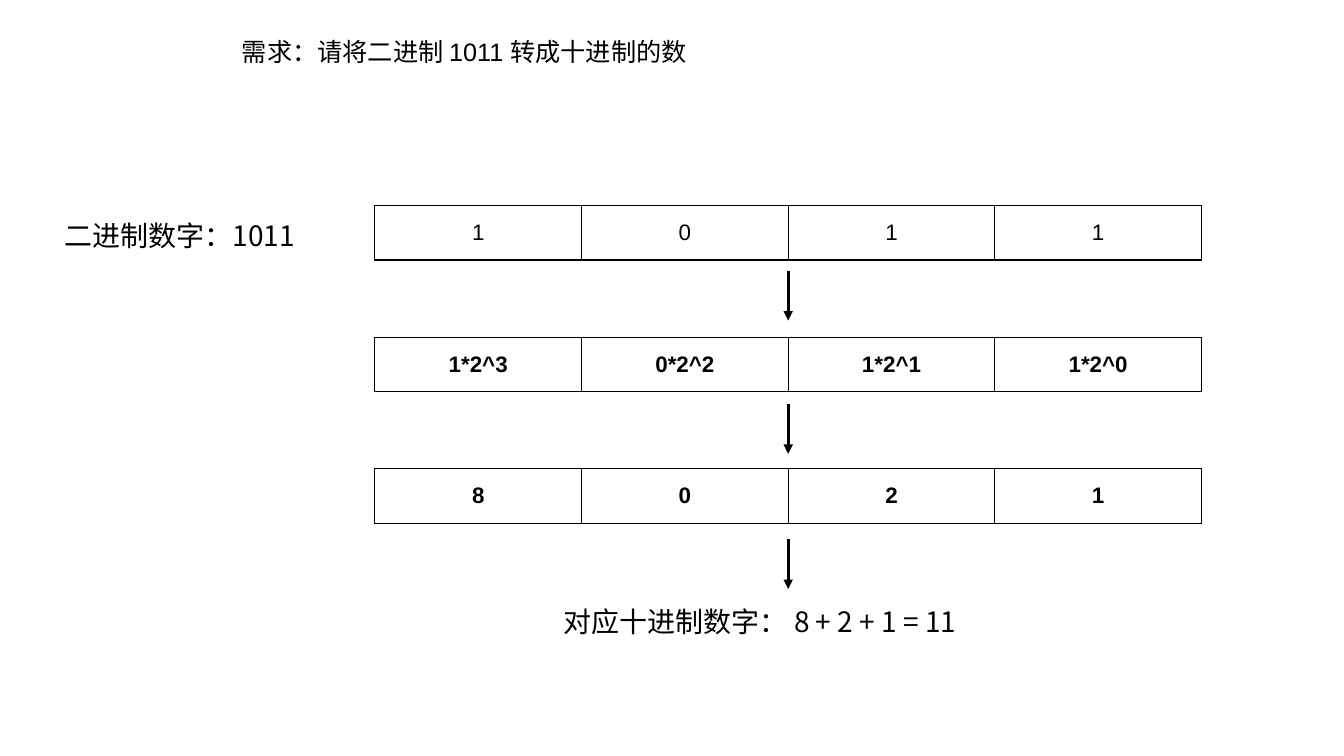
"""Build a slide that converts binary 1011 to decimal, step by step."""
from lxml.etree import SubElement
from pptx import Presentation
from pptx.dml.color import RGBColor
from pptx.enum.shapes import MSO_CONNECTOR, MSO_SHAPE
from pptx.enum.text import MSO_ANCHOR, MSO_AUTO_SIZE, PP_ALIGN
from pptx.oxml.ns import qn
from pptx.util import Pt

COLORS = {"ink": "000000", "paper": "FFFFFF"}
LABEL_FONT = "Noto Sans CJK SC"
TITLE_BOX = (165.6, 22.3, 340.5, 29)
TITLE_RUNS = [
    ("需求：请将二进制 ", "Times New Roman"),
    ("1011 ", "Arial"),
    ("转成十进制的数", "Times New Roman"),
]
LABELS = [
    ("二进制数字：1011", (38.9, 152.6, 184.3, 31.5)),
    ("对应十进制数字： 8 + 2 + 1 = 11", (395.3, 428.4, 336.2, 31.5)),
]
STEPS = [
    (["1", "0", "1", "1"], False),
    (["1*2^3", "0*2^2", "1*2^1", "1*2^0"], True),
    (["8", "0", "2", "1"], True),
]
TABLE_LEFT, TABLE_TOP, TABLE_PITCH = 267.8, 146.9, 94
CELL_WIDTH, CELL_HEIGHT = 147.6, 38.8
ARROW_TOPS, ARROW_LENGTH = [193.5, 288.7, 385.3], 35.5


def color(name):
    return RGBColor.from_string(COLORS[name])


def fill_white(item):
    item.fill.solid()
    item.fill.fore_color.rgb = color("paper")


def style_font(font, name, size, bold=False):
    font.name, font.size, font.bold = name, Pt(size), bold
    font.color.rgb = color("ink")


def set_up_text(frame):
    frame.word_wrap = True
    frame.auto_size = MSO_AUTO_SIZE.SHAPE_TO_FIT_TEXT
    frame.vertical_anchor = MSO_ANCHOR.TOP
    frame.paragraphs[0].alignment = PP_ALIGN.LEFT
    return frame.paragraphs[0]


def fill_title(title):
    title.left, title.top, title.width, title.height = map(Pt, TITLE_BOX)
    fill_white(title)
    paragraph = set_up_text(title.text_frame)
    for text, font_name in TITLE_RUNS:
        run = paragraph.add_run()
        run.text = text
        style_font(run.font, font_name, 18)


def add_label(slide, text, box):
    shape = slide.shapes.add_shape(MSO_SHAPE.RECTANGLE, *map(Pt, box))
    shape.shadow.inherit = False
    shape.line.fill.background()
    fill_white(shape)
    paragraph = set_up_text(shape.text_frame)
    paragraph.text = text
    style_font(paragraph.font, LABEL_FONT, 20)


def add_borders(cell):
    properties = cell._tc.get_or_add_tcPr()
    for position, side in enumerate(("lnL", "lnR", "lnT", "lnB")):
        border = properties.makeelement(qn(f"a:{side}"), {"w": str(Pt(1))})
        fill = SubElement(border, qn("a:solidFill"))
        SubElement(fill, qn("a:srgbClr"), val=COLORS["ink"])
        properties.insert(position, border)


def add_step(slide, values, bold, top):
    columns = len(values)
    table = slide.shapes.add_table(
        1, columns, Pt(TABLE_LEFT), Pt(top), Pt(CELL_WIDTH * columns), Pt(CELL_HEIGHT)
    ).table
    table.first_row = table.horz_banding = False
    for index, value in enumerate(values):
        table.columns[index].width = Pt(CELL_WIDTH)
        cell = table.cell(0, index)
        cell.vertical_anchor = MSO_ANCHOR.MIDDLE
        fill_white(cell)
        add_borders(cell)
        paragraph = cell.text_frame.paragraphs[0]
        paragraph.text = value
        paragraph.alignment = PP_ALIGN.CENTER
        style_font(paragraph.font, "Arial", 16, bold)


def add_arrow(slide, center, top):
    arrow = slide.shapes.add_connector(
        MSO_CONNECTOR.STRAIGHT, Pt(center), Pt(top), Pt(center), Pt(top + ARROW_LENGTH)
    )
    arrow.line.color.rgb = color("ink")
    arrow.line.width = Pt(2.25)
    SubElement(arrow.line._get_or_add_ln(), qn("a:tailEnd"), type="triangle")
    SubElement(arrow._element.spPr, qn("a:effectLst"))


def main():
    presentation = Presentation()
    presentation.slide_width, presentation.slide_height = Pt(960), Pt(540)
    slide = presentation.slides.add_slide(presentation.slide_layouts[5])
    fill_title(slide.shapes.title)
    for text, box in LABELS:
        add_label(slide, text, box)
    for index, (values, bold) in enumerate(STEPS):
        add_step(slide, values, bold, TABLE_TOP + index * TABLE_PITCH)
    for top in ARROW_TOPS:
        add_arrow(slide, TABLE_LEFT + 2 * CELL_WIDTH, top)
    presentation.save("out.pptx")


if __name__ == "__main__":
    main()
